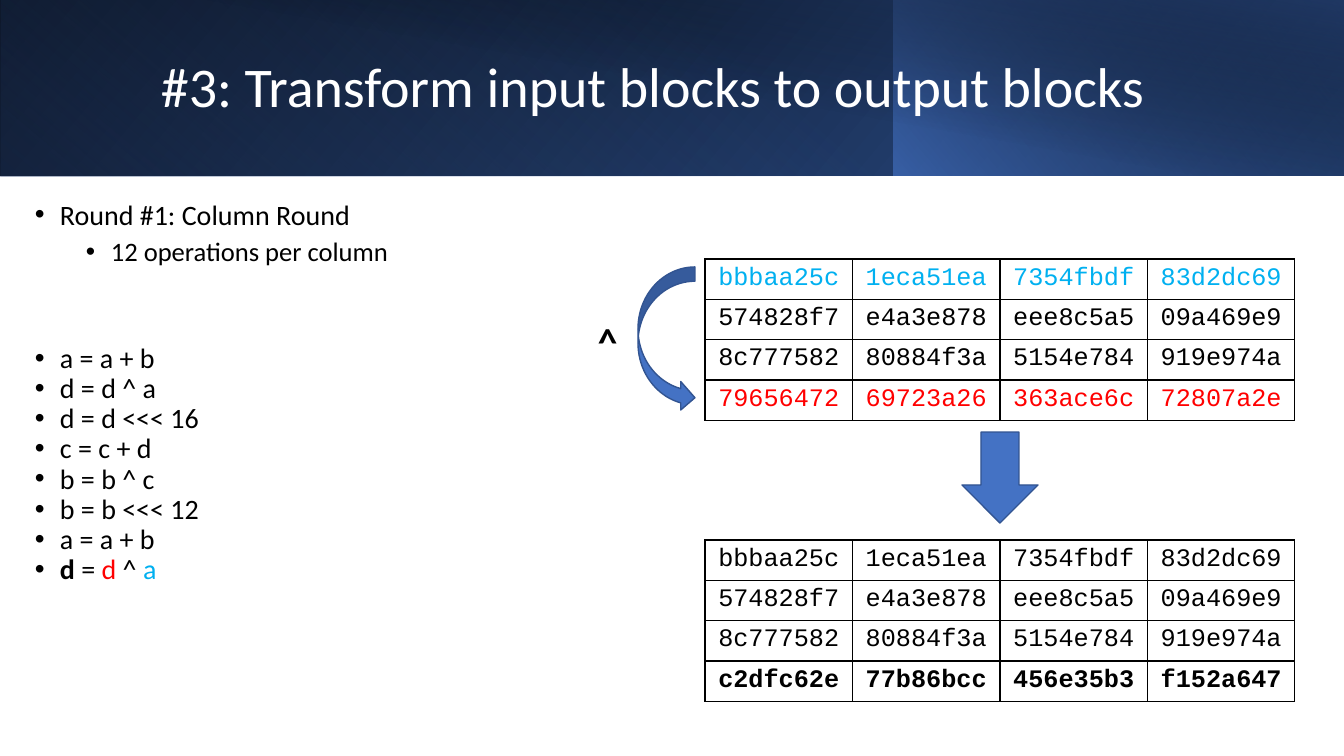
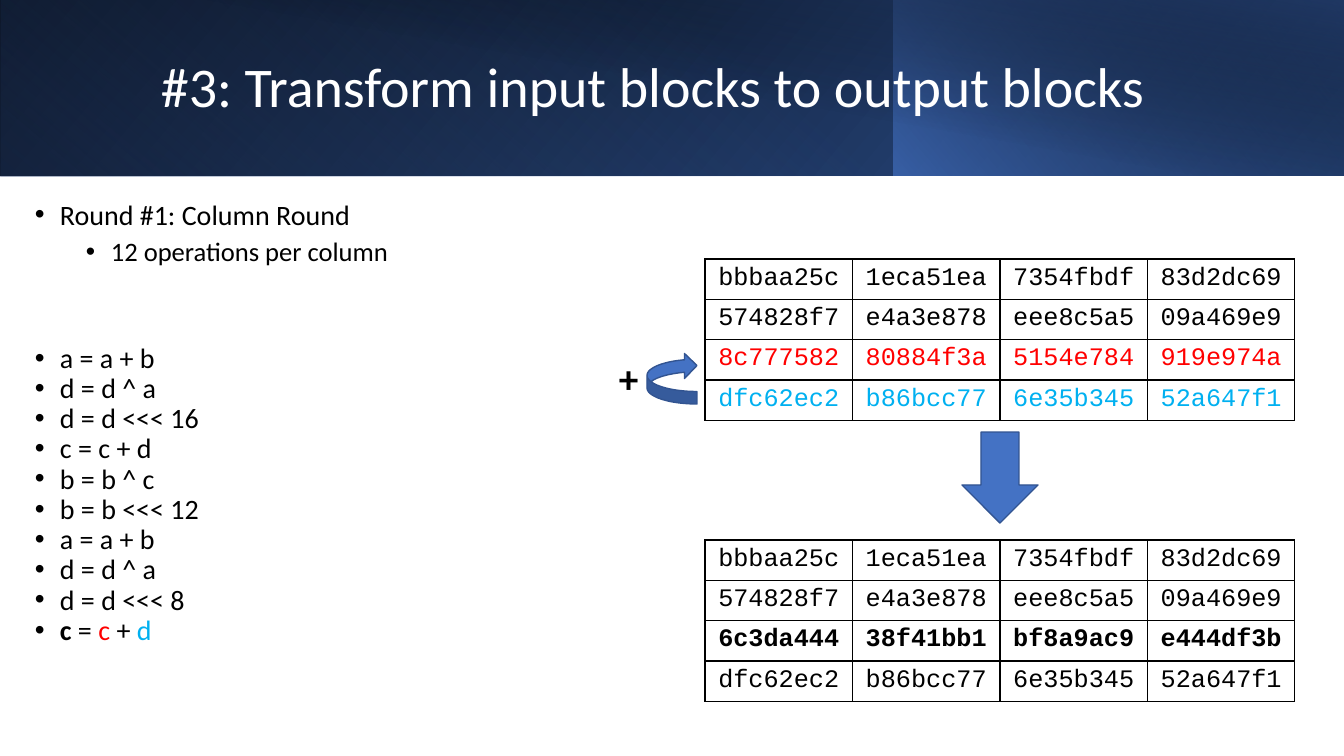
import pptx
import pptx.util
import pptx.oxml.ns
import pptx.oxml.xmlchemy
import pptx.dml.color
import pptx.enum.shapes
import pptx.enum.text
import lxml.etree

SCALE = 12192000 / 1344  # EMU in one px
COLORS = {
    "black": "000000", "white": "FFFFFF", "red": "FF0000", "sky": "00B0F0",
    "blue": "4472C4", "outline": "325491", "mid": "2F5597", "navy": "203864",
}
SANS, MONO = "Calibri", "Courier New"
KIND = pptx.enum.shapes.MSO_SHAPE
TITLE = "#3: Transform input blocks to output blocks"

# Band layers: box, flipped, rotation, angle, stops of (position, colour, opacity)
BAND = [
    ((0, 0, 1344, 176), True, 0, 140, [(0, "black", 100), (100, "mid", 100)]),
    ((0, 0, 895, 176), True, 180, 230, [(20, "blue", 0), (100, "navy", 55)]),
    ((894, 0, 450, 176), True, 0, 220, [(0, "blue", 66), (100, "black", 30)]),
    ((50, 0, 1294, 176), False, 0, 280, [(50, "black", 0), (99, "navy", 52)]),
]

OPERATIONS = [
    "a = a + b", "d = d ^ a", "d = d <<< 16", "c = c + d", "b = b ^ c",
    "b = b <<< 12", "a = a + b", "d = d ^ a", "d = d <<< 8", "c = c + d",
]
ROW_A = "bbbaa25c 1eca51ea 7354fbdf 83d2dc69"
ROW_B = "574828f7 e4a3e878 eee8c5a5 09a469e9"
ROW_C = "8c777582 80884f3a 5154e784 919e974a"
ROW_D = "dfc62ec2 b86bcc77 6e35b345 52a647f1"

# Arrow and symbol boxes are relative to the upper table
STEPS = [
    {
        "operations": OPERATIONS[:8],
        "before": [ROW_A, ROW_B, ROW_C, "79656472 69723a26 363ace6c 72807a2e"],
        "after": [ROW_A, ROW_B, ROW_C, "c2dfc62e 77b86bcc 456e35b3 f152a647"],
        "source": 0, "target": 3,
        "arrow": (KIND.CURVED_RIGHT_ARROW, (-67, 8, 57, 145), 0),
        "symbol": ("^", (-117, 53, 48, 57)),
    },
    {
        "operations": OPERATIONS,
        "before": [ROW_A, ROW_B, ROW_C, ROW_D],
        "after": [ROW_A, ROW_B, "6c3da444 38f41bb1 bf8a9ac9 e444df3b", ROW_D],
        "source": 3, "target": 2,
        "arrow": (KIND.CURVED_LEFT_ARROW, (-58, 94, 50, 51), 180),
        "symbol": ("+", (-96, 90, 48, 57)),
    },
]


def px(length):
    return pptx.util.Emu(round(length * SCALE))


def place(box):
    return [px(length) for length in box]


def shift(box, left, top):
    return box[0] + left, box[1] + top, box[2], box[3]


def rgb(name):
    return pptx.dml.color.RGBColor.from_string(COLORS[name])


def style(font, size, color="black", bold=False, face=SANS):
    font.name, font.size, font.bold = face, pptx.util.Pt(size), bold
    font.color.rgb = rgb(color)


def child(parent, tag, **attributes):
    element = lxml.etree.SubElement(parent, pptx.oxml.ns.qn(tag))
    for key, value in attributes.items():
        element.set(key, str(value))
    return element


def add_text(page, box):
    frame = page.shapes.add_textbox(*place(box)).text_frame
    frame.word_wrap = True
    return frame


def add_bullet(frame, text, margin, size, before=0):
    first = not frame.text
    para = frame.paragraphs[0] if first else frame.add_paragraph()
    properties = para._p.get_or_add_pPr()
    properties.set("marL", str(px(margin)))
    properties.set("indent", str(-px(25)))
    child(properties, "a:buFont", typeface="Arial")
    child(properties, "a:buChar", char="•")
    para.line_spacing = 0.9
    if before:
        para.space_before = pptx.util.Pt(before)
    para.text = text
    for span in para.runs:
        style(span.font, size)
    return para


def add_arrow(page, kind, box, rotation=0):
    arrow = page.shapes.add_shape(kind, *place(box))
    arrow.shadow.inherit = False
    arrow.rotation = rotation
    arrow.fill.solid()
    arrow.fill.fore_color.rgb = rgb("blue")
    arrow.line.color.rgb = rgb("outline")
    arrow.line.width = pptx.util.Pt(1)


def add_layer(page, box, flipped, rotation, angle, stops):
    layer = page.shapes.add_shape(KIND.RECTANGLE, *place(box))
    layer.shadow.inherit = False
    layer.line.fill.background()
    layer.rotation = rotation
    properties = layer._element.spPr
    if flipped:
        properties.find(pptx.oxml.ns.qn("a:xfrm")).set("flipH", "1")
    gradient = pptx.oxml.xmlchemy.OxmlElement("a:gradFill")
    stop_list = child(gradient, "a:gsLst")
    for position, color, opacity in stops:
        stop = child(stop_list, "a:gs", pos=position * 1000)
        tint = child(stop, "a:srgbClr", val=COLORS[color])
        child(tint, "a:alpha", val=opacity * 1000)
    child(gradient, "a:lin", ang=angle * 60000, scaled=0)
    properties.find(pptx.oxml.ns.qn("a:prstGeom")).addnext(gradient)


def add_header(page):
    for layer in BAND:
        add_layer(page, *layer)
    frame = add_text(page, (151, 32, 1091, 114))
    frame.vertical_anchor = pptx.enum.text.MSO_ANCHOR.MIDDLE
    para = frame.paragraphs[0]
    para.text = TITLE
    para.line_spacing = 0.9
    style(para.runs[0].font, 40, "white")


def add_operations(page, box, operations):
    left, top, width, height = box
    # Heading bullets
    frame = add_text(page, (left, top, width, 127))
    add_bullet(frame, "Round #1: Column Round", 25, 20)
    add_bullet(frame, "12 operations per column", 76, 19, before=5)
    # Operations so far, with the current one marked by colour
    frame = add_text(page, (left, top + 143, width, height - 143))
    for operation in operations[:-1]:
        add_bullet(frame, operation, 25, 20)
    target, equals, first, operator, second = operations[-1].split()
    para = add_bullet(frame, target, 25, 20)
    para.runs[0].font.bold = True
    for text, color in [(f" {equals} ", "black"), (first, "red"),
                        (f" {operator} ", "black"), (second, "sky")]:
        span = para.add_run()
        span.text = text
        style(span.font, 20, color)


def add_border(cell):
    properties = cell._tc.get_or_add_tcPr()
    for side in ("a:lnL", "a:lnR", "a:lnT", "a:lnB"):
        edge = child(properties, side, w=12700)
        child(child(edge, "a:solidFill"), "a:srgbClr", val=COLORS["black"])


def add_state(page, box, rows, row_colors, bold_row=None):
    table = page.shapes.add_table(len(rows), 4, *place(box)).table
    table.first_row = table.horz_banding = False
    for row, words in enumerate(rows):
        for column, word in enumerate(words.split()):
            cell = table.cell(row, column)
            add_border(cell)
            cell.fill.background()
            para = cell.text_frame.paragraphs[0]
            para.text = word
            para.alignment = pptx.enum.text.PP_ALIGN.CENTER
            style(para.runs[0].font, 18, row_colors.get(row, "black"),
                  row == bold_row, MONO)


def add_states(page, left, top, step):
    # Tables before and after the operation
    marks = {step["source"]: "sky", step["target"]: "red"}
    add_state(page, (left, top, 590, 152), step["before"], marks)
    add_state(page, (left, top + 281, 590, 152), step["after"], {},
              step["target"])
    # Arrow between the tables
    add_arrow(page, KIND.DOWN_ARROW, (left + 257, top + 173, 76, 91))
    # Curved arrow from source row to target row, with its symbol
    kind, box, rotation = step["arrow"]
    add_arrow(page, kind, shift(box, left, top), rotation)
    symbol, box = step["symbol"]
    para = add_text(page, shift(box, left, top)).paragraphs[0]
    para.text = symbol
    style(para.runs[0].font, 28, bold=True)


def main():
    deck = pptx.Presentation()
    deck.slide_width, deck.slide_height = px(1344), px(756)
    for step in STEPS:
        page = deck.slides.add_slide(deck.slide_layouts[6])
        add_header(page)
        add_operations(page, (25, 196, 545, 546), step["operations"])
        add_states(page, 705, 259, step)
    deck.save("out.pptx")


if __name__ == "__main__":
    main()
